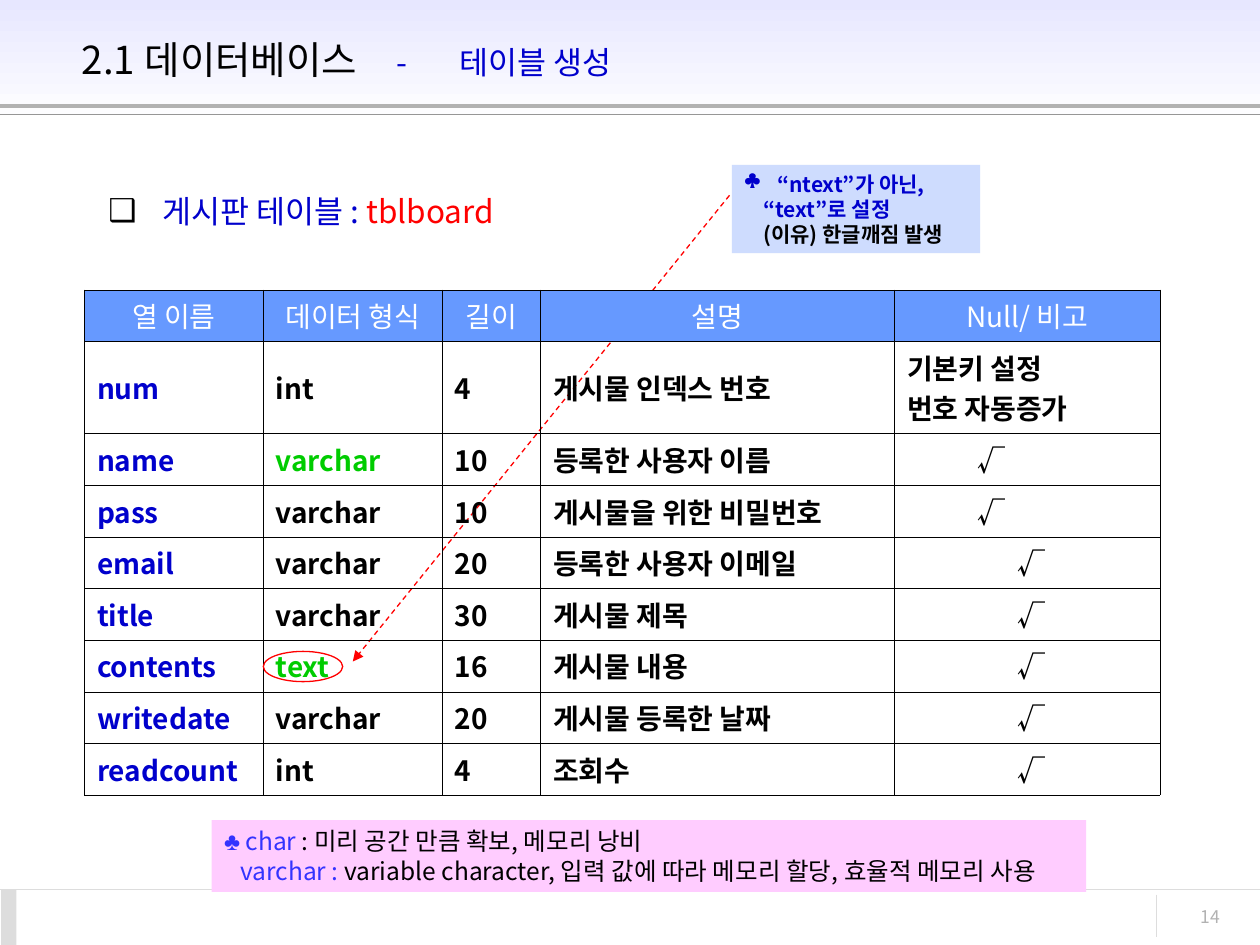
from lxml.etree import SubElement
from pptx import Presentation
from pptx.dml.color import RGBColor
from pptx.enum.dml import MSO_LINE
from pptx.enum.shapes import MSO_CONNECTOR, MSO_SHAPE
from pptx.enum.text import MSO_ANCHOR, MSO_AUTO_SIZE, PP_ALIGN
from pptx.oxml.ns import qn
from pptx.util import Inches, Pt

THEME = dict(
    font="Noto Sans CJK KR", symbol_font="Arial",
    black="000000", white="FFFFFF", blue="0000CC", violet="3333FF", red="FF0000",
    green="00CC00", header="6699FF", pink="FFCCFF", sky="CEDCFE", lilac="E7E7FF",
    strong_rule="B2B2B2", fine_rule="969696", pale_rule="DDDDDD", number="B2B2B2",
    title=22, heading=18, cell=16, note=14, callout=12, page=10,
)

deck = Presentation()
deck.slide_width, deck.slide_height = Inches(10), Inches(7.5)
# The slide is a grid of 100 columns by 75 rows
COL, ROW = deck.slide_width // 100, deck.slide_height // 75
slide = deck.slides.add_slide(deck.slide_layouts[1])
shapes = slide.shapes


def write(para, spans, size, bold=False, align=PP_ALIGN.LEFT, left=0, hang=0,
          bullet=None, tabs=()):
    """Fill a paragraph with (text, colour[, size[, font]]) spans."""
    props = para._p.get_or_add_pPr()
    props.set("marL", str(int(left * COL)))
    props.set("indent", str(int(-hang * COL)))
    if bullet:
        mark, colour = bullet
        SubElement(SubElement(props, qn("a:buClr")), qn("a:srgbClr"), val=THEME[colour])
        SubElement(props, qn("a:buChar"), char=mark)
    else:
        SubElement(props, qn("a:buNone"))
    if tabs:
        stops = SubElement(props, qn("a:tabLst"))
        for stop in tabs:
            SubElement(stops, qn("a:tab"), pos=str(int(stop * COL)), algn="l")
    para.alignment, para.space_before = align, Pt(0)
    for text, colour, *extra in spans:
        span = para.add_run()
        span.text = text
        face = THEME[extra[1] if len(extra) > 1 else "font"]
        look = dict(name=face, size=Pt(THEME[extra[0] if extra else size]), bold=bold)
        for key, value in look.items():
            setattr(span.font, key, value)
        span.font.color.rgb = RGBColor.from_string(THEME[colour])
        SubElement(span._r.get_or_add_rPr(), qn("a:ea"), typeface=THEME["font"])


def draw_line(x1, y1, x2, y2, colour, weight):
    """Draw a straight line between two grid points."""
    line = shapes.add_connector(MSO_CONNECTOR.STRAIGHT, int(x1 * COL), int(y1 * ROW),
                                int(x2 * COL), int(y2 * ROW))
    line.line.color.rgb = RGBColor.from_string(THEME[colour])
    line.line.width = Pt(weight)
    SubElement(line._element.spPr, qn("a:effectLst"))
    return line


# Header band, footer block and rules
for place, fill in (((0, 0, 100, 10), None), ((0.1, 70.6, 1.2, 4.4), "pale_rule")):
    left, top, width, height = place
    block = shapes.add_shape(MSO_SHAPE.RECTANGLE, int(left * COL), int(top * ROW),
                             int(width * COL), int(height * ROW))
    block.shadow.inherit = False
    block.line.fill.background()
    if fill:
        block.fill.solid()
        block.fill.fore_color.rgb = RGBColor.from_string(THEME[fill])
    else:
        block.fill.gradient()
        block.fill.gradient_angle = 270
        for stop, colour in zip(block.fill.gradient_stops, ("lilac", "white")):
            stop.color.rgb = RGBColor.from_string(THEME[colour])
for rule in ((0, 8.4, 100, 8.4, "strong_rule", 2.25), (0, 9.1, 100, 9.1, "fine_rule", 0.75),
             (0, 70.6, 100, 70.6, "pale_rule", 0.75),
             (91.8, 71, 91.8, 74.4, "pale_rule", 0.75)):
    draw_line(*rule)

# Page number
page = shapes.add_textbox(int(88.6 * COL), int(71.4 * ROW), int(9.2 * COL), int(3.3 * ROW))
page.text_frame.word_wrap = True
write(page.text_frame.paragraphs[0], [("14", "number")], "page", align=PP_ALIGN.RIGHT)

# Title and heading, brought in front of the header band
title, body = shapes.title, slide.placeholders[1]
for holder, place, anchor in ((title, (5.5, 1.3, 86.3, 6.8), MSO_ANCHOR.MIDDLE),
                              (body, (7.6, 14.7, 85.8, 51.7), MSO_ANCHOR.TOP)):
    for key, value, unit in zip(("left", "top", "width", "height"), place, (COL, ROW) * 2):
        setattr(holder, key, int(value * unit))
    holder.text_frame.auto_size = MSO_AUTO_SIZE.NONE
    holder.text_frame.vertical_anchor = anchor
    shapes._spTree.append(holder.element)
write(title.text_frame.paragraphs[0],
      [("2.1\t데이터베이스", "black"), ("\t-\t테이블 생성", "blue", "heading")],
      "title", tabs=(6.3, 26.4, 30.1))
write(body.text_frame.paragraphs[0],
      [("게시판 테이블 : ", "blue"), ("tblboard", "red")],
      "heading", left=4.3, hang=4.3, bullet=("❑", "black"))

# Dashed arrow from the callout to the text type, passing behind the table
arrow = draw_line(57.9, 15.5, 28, 52.5, "red", 0.75)
arrow.line.dash_style = MSO_LINE.DASH
SubElement(arrow.line._get_or_add_ln(), qn("a:tailEnd"), type="triangle")

# Column table
header = ("열 이름", "데이터 형식", "길이", "설명", "Null/ 비고")
fields = (
    ("num", "int", "4", "게시물 인덱스 번호", "기본키 설정\n번호 자동증가"),
    ("name", "varchar", "10", "등록한 사용자 이름", "√"),
    ("pass", "varchar", "10", "게시물을 위한 비밀번호", "√"),
    ("email", "varchar", "20", "등록한 사용자 이메일", "√"),
    ("title", "varchar", "30", "게시물 제목", "√"),
    ("contents", "text", "16", "게시물 내용", "√"),
    ("writedate", "varchar", "20", "게시물 등록한 날짜", "√"),
    ("readcount", "int", "4", "조회수", "√"),
)
green_cells = {("name", 1), ("contents", 1)}
left_marks = {"name", "pass"}
widths = (14.2, 14.2, 7.8, 28.1, 21.1)
heights = [4.1, 7.3] + [4.1] * 7
table = shapes.add_table(len(heights), len(widths), int(6.7 * COL), int(23 * ROW),
                         int(sum(widths) * COL), int(sum(heights) * ROW)).table
table.first_row = table.horz_banding = False
for column, width in zip(table.columns, widths):
    column.width = int(width * COL)
for line, height in zip(table.rows, heights):
    line.height = int(height * ROW)
for r, record in enumerate((header,) + fields):
    for c, text in enumerate(record):
        cell = table.cell(r, c)
        cell.vertical_anchor = MSO_ANCHOR.MIDDLE
        # Slim margins let the text fit the row heights, so rows do not grow
        cell.margin_top = cell.margin_bottom = int(0.3 * ROW)
        borders = cell._tc.get_or_add_tcPr()
        for side in ("a:lnL", "a:lnR", "a:lnT", "a:lnB"):
            edge = SubElement(borders, qn(side), w=str(Pt(0.06)))
            SubElement(SubElement(edge, qn("a:solidFill")), qn("a:srgbClr"),
                       val=THEME["black"])
        colour, align, indent = "black", PP_ALIGN.JUSTIFY, 0
        if r == 0:
            cell.fill.solid()
            cell.fill.fore_color.rgb = RGBColor.from_string(THEME["header"])
            colour, align = "white", PP_ALIGN.CENTER
        else:
            cell.fill.background()
            if c == 0:
                colour = "blue"
            elif (record[0], c) in green_cells:
                colour = "green"
            if text == "√" and record[0] in left_marks:
                indent = 5.6
            elif text == "√":
                align, indent = PP_ALIGN.CENTER, 0.6
        for n, part in enumerate(text.split("\n")):
            para = cell.text_frame.add_paragraph() if n else cell.text_frame.paragraphs[0]
            write(para, [(part, colour)], "cell", r > 0, align, left=indent)

# Notes: place, fill, type size, bold, then each paragraph's spans and layout
notes = (
    ((16.8, 65.1, 69.4, 5.7), "pink", "note", False, (
        ([("♣", "violet", "note", "symbol_font"), (" char ", "violet"),
          (": 미리 공간 만큼 확보, 메모리 낭비", "black")], {}),
        ([("varchar : ", "violet"),
          ("variable character, 입력 값에 따라 메모리 할당, 효율적 메모리 사용", "black")],
         dict(left=1.3)))),
    ((58.1, 13.1, 19.7, 7), "sky", "callout", True, (
        ([("“ntext”가 아닌,", "blue")], dict(left=2.6, hang=2.6, bullet=("♣", "blue"))),
        ([("“text”로 설정", "blue")], dict(left=1.5)),
        ([("(이유) 한글깨짐 발생", "black")], dict(left=1.5)))),
)
for (left, top, width, height), fill, size, bold, lines in notes:
    box = shapes.add_shape(MSO_SHAPE.RECTANGLE, int(left * COL), int(top * ROW),
                           int(width * COL), int(height * ROW))
    box.shadow.inherit = False
    box.fill.solid()
    box.fill.fore_color.rgb = RGBColor.from_string(THEME[fill])
    box.line.fill.background()
    frame = box.text_frame
    frame.word_wrap, frame.vertical_anchor = True, MSO_ANCHOR.TOP
    for n, (spans, layout) in enumerate(lines):
        para = frame.add_paragraph() if n else frame.paragraphs[0]
        write(para, spans, size, bold, **layout)

# Ring around the text type
ring = shapes.add_shape(MSO_SHAPE.OVAL, int(20.9 * COL), int(51.7 * ROW),
                        int(6.3 * COL), int(2.4 * ROW))
ring.shadow.inherit = False
ring.fill.background()
ring.line.color.rgb = RGBColor.from_string(THEME["red"])
ring.line.width = Pt(0.75)

deck.save("out.pptx")
